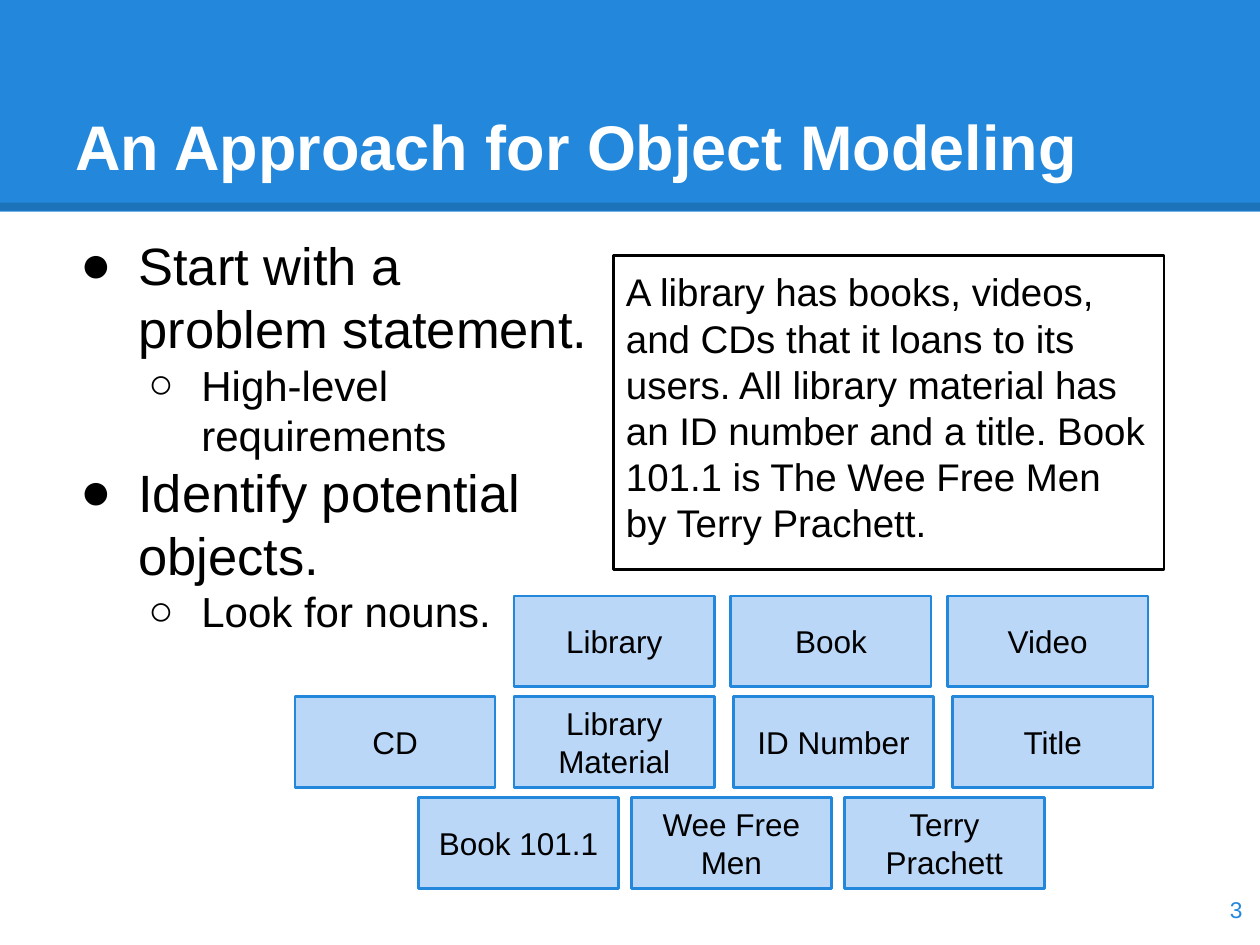
from dataclasses import dataclass

import pptx
import pptx.dml.color
import pptx.enum.shapes
import pptx.enum.text
import pptx.oxml
import pptx.oxml.ns
import pptx.util
from pptx.enum.text import MSO_ANCHOR, PP_ALIGN

SLIDE_WIDTH, SLIDE_HEIGHT = 10, 7.5


@dataclass(frozen=True)
class Theme:
    font: str = "Arial"
    blue: str = "2388DB"
    pale_blue: str = "BBD7F8"
    white: str = "FFFFFF"
    black: str = "000000"
    title: int = 36
    topic: int = 30
    detail: int = 24
    statement: int = 22
    noun: int = 18
    number: int = 13
    outline: float = 1.5


@dataclass(frozen=True)
class Box:
    left: float
    top: float
    width: float
    height: float

    def lengths(self) -> list:
        return [pptx.util.Inches(v) for v in (self.left, self.top, self.width, self.height)]


@dataclass(frozen=True)
class Bullet:
    text: str
    level: int = 0


@dataclass(frozen=True)
class NounRow:
    left: float
    pitch: float
    nouns: tuple


THEME = Theme()
HEADER = Box(0, 0, SLIDE_WIDTH, 1.68)
COLUMN = 4.37
MARGIN = 0.5

BULLETS = (
    Bullet("Start with a problem statement."),
    Bullet("High-level requirements", 1),
    Bullet("Identify potential objects."),
    Bullet("Look for nouns.", 1),
)
BULLET_STYLES = (("●", THEME.topic, 0.5, -0.46), ("○", THEME.detail, 1, -0.42))

STATEMENT = (
    "A library has books, videos, and CDs that it loans to its users. "
    "All library material has an ID number and a title. "
    "Book 101.1 is The Wee Free Men by Terry Prachett."
)

# Nouns found in the statement, in rows of equal boxes
NOUN_TOP, NOUN_ROW_PITCH = 4.73, 0.8
NOUN_WIDTH, NOUN_HEIGHT = 1.59, 0.72
NOUN_ROWS = (
    NounRow(4.08, 1.72, ("Library", "Book", "Video")),
    NounRow(2.34, 1.74, ("CD", "Library Material", "ID Number", "Title")),
    NounRow(3.32, 1.69, ("Book 101.1", "Wee Free Men", "Terry Prachett")),
)


def rgb(color: str) -> pptx.dml.color.RGBColor:
    return pptx.dml.color.RGBColor.from_string(color)


def prepare_frame(shape, anchor=MSO_ANCHOR.TOP):
    frame = shape.text_frame
    frame.word_wrap = True
    frame.vertical_anchor = anchor
    frame.margin_left = frame.margin_right = pptx.util.Inches(0.1)
    frame.margin_top = frame.margin_bottom = pptx.util.Inches(0.1)
    return frame


def add_run(paragraph, text: str, size: int, color: str = THEME.black,
            align=PP_ALIGN.LEFT, bold: bool = False) -> None:
    paragraph.alignment = align
    run = paragraph.add_run()
    run.text = text
    run.font.name = THEME.font
    run.font.size = pptx.util.Pt(size)
    run.font.bold = bold
    run.font.color.rgb = rgb(color)


def add_rectangle(slide, box: Box, fill: str = "", line: str = ""):
    shape = slide.shapes.add_shape(pptx.enum.shapes.MSO_SHAPE.RECTANGLE, *box.lengths())
    shape.shadow.inherit = False
    if fill:
        shape.fill.solid()
        shape.fill.fore_color.rgb = rgb(fill)
    else:
        shape.fill.background()
    if line:
        shape.line.color.rgb = rgb(line)
        shape.line.width = pptx.util.Pt(THEME.outline)
    else:
        shape.line.fill.background()
    return shape


def add_header_rule(slide, y: float) -> None:
    height = pptx.util.Inches(y)
    rule = slide.shapes.add_connector(
        pptx.enum.shapes.MSO_CONNECTOR.STRAIGHT, 0, height,
        pptx.util.Inches(SLIDE_WIDTH), height)
    rule.line.color.rgb = rgb(THEME.black)
    rule.line.width = pptx.util.Pt(4.5)
    color = rule.line._ln.find(".//" + pptx.oxml.ns.qn("a:srgbClr"))
    pptx.oxml.ns.qn("a:alpha")
    color.append(pptx.oxml.parse_xml(
        f'<a:alpha {pptx.oxml.ns.nsdecls("a")} val="15000"/>'))
    rule._element.spPr.append(pptx.oxml.parse_xml(
        f'<a:effectLst {pptx.oxml.ns.nsdecls("a")}/>'))


def add_bullet(paragraph, bullet: Bullet) -> None:
    mark, size, margin, indent = BULLET_STYLES[bullet.level]
    paragraph.level = bullet.level
    properties = paragraph._p.get_or_add_pPr()
    properties.set("marL", str(pptx.util.Inches(margin)))
    properties.set("indent", str(pptx.util.Inches(indent)))
    names = pptx.oxml.ns.nsdecls("a")
    for xml in (f'<a:buClr {names}><a:srgbClr val="{THEME.black}"/></a:buClr>',
                f'<a:buFont {names} typeface="{THEME.font}"/>',
                f'<a:buChar {names} char="{mark}"/>'):
        properties.append(pptx.oxml.parse_xml(xml))
    add_run(paragraph, bullet.text, size)


def add_label(slide, box: Box, text: str, size: int, color: str, anchor,
              align=PP_ALIGN.LEFT, bold: bool = False) -> None:
    frame = prepare_frame(slide.shapes.add_textbox(*box.lengths()), anchor)
    add_run(frame.paragraphs[0], text, size, color, align, bold)


def main() -> None:
    deck = pptx.Presentation()
    deck.slide_width = pptx.util.Inches(SLIDE_WIDTH)
    deck.slide_height = pptx.util.Inches(SLIDE_HEIGHT)
    slide = deck.slides.add_slide(deck.slide_layouts[6])

    # Header band and title
    add_rectangle(slide, HEADER, fill=THEME.blue)
    add_header_rule(slide, 1.64)
    add_label(slide, Box(MARGIN, 0.3, SLIDE_WIDTH - 2 * MARGIN, 1.25),
              "An Approach for Object Modeling", THEME.title, THEME.white,
              MSO_ANCHOR.BOTTOM, bold=True)

    # Steps of the approach
    steps = prepare_frame(slide.shapes.add_textbox(*Box(MARGIN, 1.75, COLUMN, 3.58).lengths()))
    for index, bullet in enumerate(BULLETS):
        add_bullet(steps.add_paragraph() if index else steps.paragraphs[0], bullet)

    # Problem statement
    statement = add_rectangle(slide, Box(MARGIN + COLUMN, 2.03, COLUMN, 2.49), line=THEME.black)
    add_run(prepare_frame(statement).paragraphs[0], STATEMENT, THEME.statement)

    # Candidate objects
    for row_index, row in enumerate(NOUN_ROWS):
        top = NOUN_TOP + row_index * NOUN_ROW_PITCH
        for column, noun in enumerate(row.nouns):
            box = Box(row.left + column * row.pitch, top, NOUN_WIDTH, NOUN_HEIGHT)
            shape = add_rectangle(slide, box, THEME.pale_blue, THEME.blue)
            frame = prepare_frame(shape, MSO_ANCHOR.MIDDLE)
            add_run(frame.paragraphs[0], noun, THEME.noun, align=PP_ALIGN.CENTER)

    # Slide number
    add_label(slide, Box(9.36, 6.93, 0.6, 0.57), "3", THEME.number, THEME.blue,
              MSO_ANCHOR.MIDDLE, PP_ALIGN.RIGHT)

    deck.save("out.pptx")


if __name__ == "__main__":
    main()
